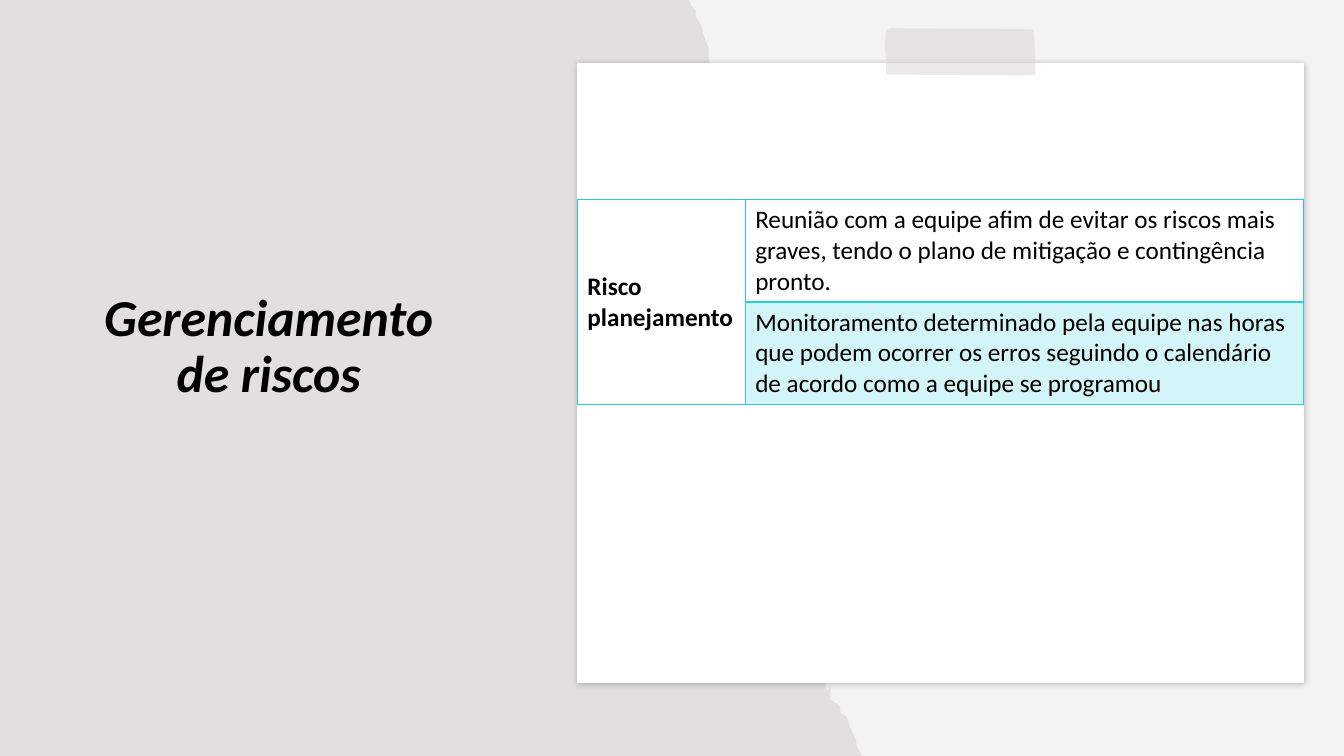
import pptx
import pptx.dml.color
import pptx.enum.text
import pptx.oxml.ns
import pptx.util
from lxml import etree

Cm, Pt = pptx.util.Cm, pptx.util.Pt
RGBColor = pptx.dml.color.RGBColor
ANCHOR = pptx.enum.text.MSO_ANCHOR
qn = pptx.oxml.ns.qn

# Content
TITLE = "Gerenciamento de riscos"
RISK = "Risco planejamento"
ACTIONS = [
    "Reunião com a equipe afim de evitar os riscos mais graves, "
    "tendo o plano de mitigação e contingência pronto.",
    "Monitoramento determinado pela equipe nas horas que podem ocorrer os erros "
    "seguindo o calendário de acordo como a equipe se programou",
]

# Style
BACKGROUND = RGBColor(0xF3, 0xF3, 0xF3)
PAPER = RGBColor(0x82, 0x76, 0x6A)
TAPE = RGBColor(0xD9, 0xD4, 0xD0)
WHITE = RGBColor(0xFF, 0xFF, 0xFF)
BLACK = RGBColor(0, 0, 0)
TEAL = RGBColor(0x27, 0xCE, 0xD7)
FONT = "Calibri"
TITLE_SIZE, TABLE_SIZE = 37, 18
THIN, THICK = 1, 2
PLAIN_TABLE_STYLE = "{2D5ABB26-0587-4C30-8999-92F81FD0307C}"

# Layout, in centimetres: left, top, width, height
SLIDE_WIDTH, SLIDE_HEIGHT = 33.87, 19.05
TITLE_AREA = (1.78, 7.26, 9.98, 3.02)
CARD_AREA = (14.55, 1.6, 18.31, 15.6)
TABLE_TOP, ROW_HEIGHT, RISK_WIDTH = 5.03, 2.58, 4.23

# The torn edge runs down the slide; the card covers its middle
EDGE_ABOVE_CARD = [
    (17.37, 0), (17.42, 0.15), (17.53, 0.25), (17.53, 0.41), (17.6, 0.51),
    (17.68, 0.66), (17.75, 0.94), (17.88, 1.27), (17.86, 1.42), (17.91, 1.68),
]
EDGE_BEHIND_CARD = [(18.19, 4.32), (18.52, 9.45), (19.15, 12.88), (20.29, 14.4)]
EDGE_BELOW_CARD = [
    (20.98, 16.81), (20.8, 17.3), (20.85, 17.42), (20.93, 17.3), (20.93, 17.63),
    (21.16, 17.78), (21.18, 17.96), (21.34, 18.06), (21.44, 18.39),
    (21.56, 18.59), (21.59, 18.8), (21.72, SLIDE_HEIGHT),
]
TORN_PAPER = [(0, 0), *EDGE_ABOVE_CARD, *EDGE_BEHIND_CARD, *EDGE_BELOW_CARD,
              (0, SLIDE_HEIGHT)]
TAPE_STRIP = [
    (22.33, 0.76), (22.45, 0.71), (26.04, 0.74), (26.06, 0.94), (26.09, 1.55),
    (26.09, 1.88), (25.86, 1.9), (22.33, 1.88), (22.33, 1.52), (22.3, 1.19),
]


def add_child(parent, tag, **attributes):
    """Append a DrawingML element with the given attributes."""
    child = etree.SubElement(parent, qn(tag))
    for name, value in attributes.items():
        child.set(name, str(value))
    return child


def paint(fill, properties, color, opacity=100):
    """Fill a shape or cell; properties is the element that holds the fill."""
    fill.solid()
    fill.fore_color.rgb = color
    if opacity < 100:
        tint = properties.find(qn("a:solidFill"))[0]
        add_child(tint, "a:alpha", val=opacity * 1000)


def corners(left, top, width, height):
    """Return the four corners of an area."""
    right, bottom = left + width, top + height
    return [(left, top), (right, top), (right, bottom), (left, bottom)]


def add_outline(page, points, color, opacity=100):
    """Draw a closed, borderless shape through points in centimetres."""
    start, *others = [(Cm(x), Cm(y)) for x, y in points]
    builder = page.shapes.build_freeform(*start)
    builder.add_line_segments(others, close=True)
    shape = builder.convert_to_shape()
    shape.shadow.inherit = False
    paint(shape.fill, shape._element.spPr, color, opacity)
    shape.line.fill.background()
    return shape


def add_soft_shadow(shape):
    """Give the shape a faint shadow towards the lower right."""
    effects = shape._element.spPr.find(qn("a:effectLst"))
    shadow = add_child(effects, "a:outerShdw", blurRad=Pt(4), dist=Pt(1),
                       dir=50 * 60000, algn="ctr", rotWithShape=0)
    color = add_child(shadow, "a:srgbClr", val=BLACK)
    add_child(color, "a:alpha", val=24000)


def write(frame, text, size, bold=False, italic=False):
    """Put one styled paragraph into a text frame."""
    frame.word_wrap = True
    para = frame.paragraphs[0]
    para.text = text
    para.font.name, para.font.size = FONT, Pt(size)
    para.font.bold, para.font.italic = bold, italic
    para.font.color.rgb = BLACK
    return para


def add_title(page):
    """Add the slide title on the torn paper."""
    box = page.shapes.add_textbox(*map(Cm, TITLE_AREA))
    box.text_frame.vertical_anchor = ANCHOR.MIDDLE
    para = write(box.text_frame, TITLE, TITLE_SIZE, bold=True, italic=True)
    para.alignment = pptx.enum.text.PP_ALIGN.CENTER
    para.line_spacing = 0.9


def style_cell(cell, bottom_width, color, opacity=100):
    """Draw teal borders round a cell and fill it."""
    properties = cell._tc.get_or_add_tcPr()
    widths = {"L": THIN, "R": THIN, "T": THIN, "B": bottom_width}
    for side, width in widths.items():
        line = add_child(properties, f"a:ln{side}", w=Pt(width), cmpd="sng")
        add_child(add_child(line, "a:solidFill"), "a:srgbClr", val=TEAL)
        add_child(line, "a:prstDash", val="solid")
    paint(cell.fill, properties, color, opacity)


def add_risk_table(page):
    """Add the table: one risk on the left, its actions on the right."""
    left, _, width, _ = CARD_AREA
    row_count = len(ACTIONS)
    frame = page.shapes.add_table(row_count, 2, Cm(left), Cm(TABLE_TOP),
                                  Cm(width), Cm(row_count * ROW_HEIGHT))
    table = frame.table
    table.first_row = table.horz_banding = False
    table._tbl.tblPr.find(qn("a:tableStyleId")).text = PLAIN_TABLE_STYLE
    for column, column_width in zip(table.columns, (RISK_WIDTH, width - RISK_WIDTH)):
        column.width = Cm(column_width)

    for index, action in enumerate(ACTIONS):
        risk_cell, action_cell = table.cell(index, 0), table.cell(index, 1)
        style_cell(risk_cell, THIN, WHITE)
        if index % 2:
            style_cell(action_cell, THIN, TEAL, opacity=20)
        else:
            style_cell(action_cell, THICK, WHITE)
        write(action_cell.text_frame, action, TABLE_SIZE)

    risk_cell = table.cell(0, 0)
    risk_cell.merge(table.cell(row_count - 1, 0))
    risk_cell.vertical_anchor = ANCHOR.MIDDLE
    write(risk_cell.text_frame, RISK, TABLE_SIZE, bold=True)


deck = pptx.Presentation()
deck.slide_width, deck.slide_height = Cm(SLIDE_WIDTH), Cm(SLIDE_HEIGHT)
page = deck.slides.add_slide(deck.slide_layouts[6])
page.background.fill.solid()
page.background.fill.fore_color.rgb = BACKGROUND

add_outline(page, TORN_PAPER, PAPER, opacity=15)
add_title(page)
card = add_outline(page, corners(*CARD_AREA), WHITE)
add_soft_shadow(card)
add_outline(page, TAPE_STRIP, TAPE, opacity=50)
add_risk_table(page)

deck.save("out.pptx")
